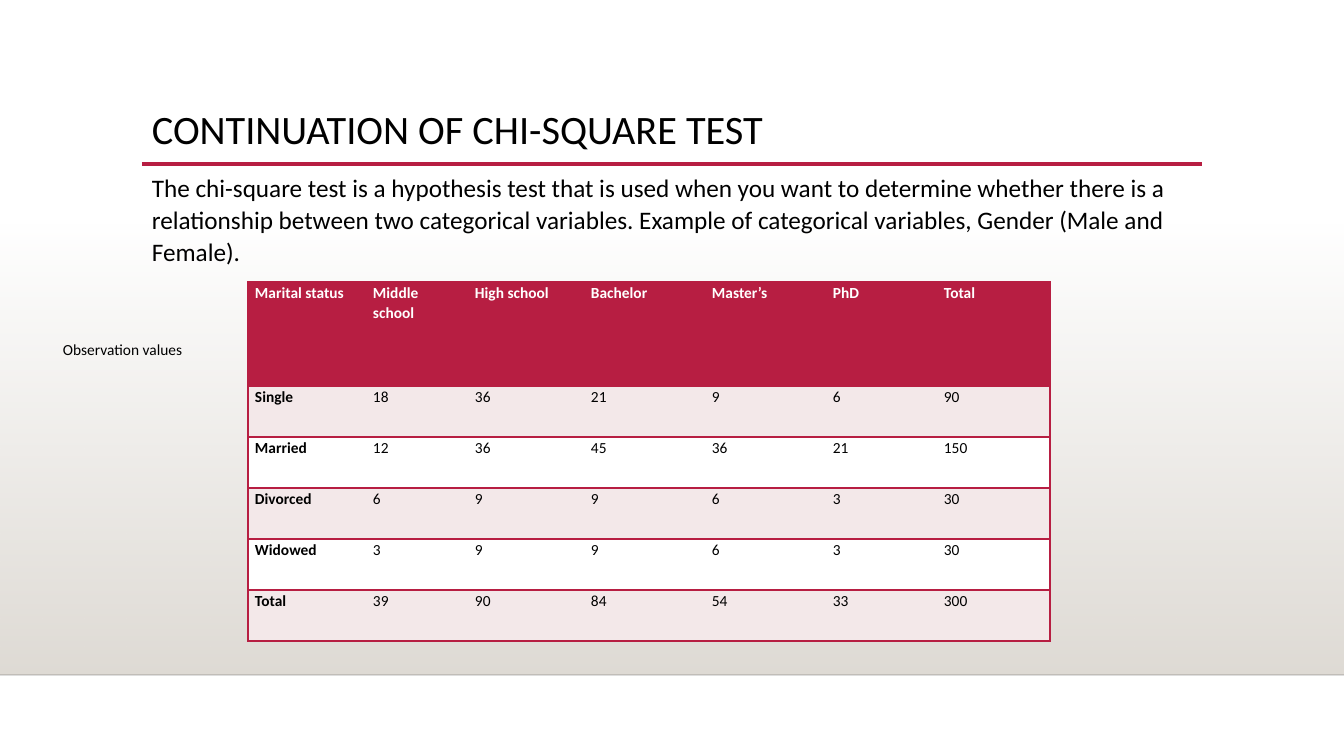
from lxml.etree import SubElement
from pptx import Presentation
from pptx.dml.color import RGBColor
from pptx.enum.shapes import MSO_CONNECTOR as Connector, MSO_SHAPE as Shape
from pptx.enum.text import MSO_ANCHOR as Anchor
from pptx.oxml.ns import qn
from pptx.util import Emu, Pt

CRIMSON, PINK, STONE = "B71E42", "F3E8E9", "DFDBD5"
WHITE, BLACK, HORIZON = "FFFFFF", "000000", "000001"


def px(length):
    return Emu(round(length * 914400 / 100.8))


def rgb(value):
    return RGBColor.from_string(value)


def set_alpha(color_element, percent):
    SubElement(color_element, qn("a:alpha"), val=str(percent * 1000))


class Page:
    font = "Calibri"

    def __init__(self, slide):
        self.shapes = slide.shapes

    def add_words(self, frame, text, size, color, bold=False, spacing=None,
                  after=0):
        frame.word_wrap = True
        paragraph = frame.paragraphs[0]
        paragraph.line_spacing = spacing
        paragraph.space_after = Pt(after)
        run = paragraph.add_run()
        run.text = text
        run.font.name, run.font.size, run.font.bold = self.font, Pt(size), bold
        run.font.color.rgb = rgb(color)

    def text(self, box, text, size, anchor=Anchor.TOP, **style):
        frame = self.shapes.add_textbox(*map(px, box)).text_frame
        frame.vertical_anchor = anchor
        self.add_words(frame, text, size, BLACK, **style)

    def fade(self, box, color):
        """Draw a rectangle that goes from clear at the top to solid."""
        wall = self.shapes.add_shape(Shape.RECTANGLE, *map(px, box))
        wall.shadow.inherit = False
        wall.line.fill.background()
        wall.fill.gradient()
        wall.fill.gradient_angle = 270
        for stop, position in zip(wall.fill.gradient_stops, (0, 1)):
            stop.position = position
            stop.color.rgb = rgb(color)
        first = next(wall.element.iter(qn("a:srgbClr")))
        set_alpha(first, 0)

    def rule(self, left, right, y, color, width, opacity=100):
        line = self.shapes.add_connector(
            Connector.STRAIGHT, px(left), px(y), px(right), px(y))
        line.line.color.rgb = rgb(color)
        line.line.width = Pt(width)
        if opacity < 100:
            set_alpha(next(line.element.iter(qn("a:srgbClr"))), opacity)
        SubElement(line.element.spPr, qn("a:effectLst"))

    def border(self, cell, sides):
        properties = cell._tc.get_or_add_tcPr()
        for side in "LRTB":
            edge = SubElement(properties, qn(f"a:ln{side}"), w=str(Pt(1)))
            if side in sides:
                solid = SubElement(edge, qn("a:solidFill"))
                SubElement(solid, qn("a:srgbClr"), val=CRIMSON)
            else:
                SubElement(edge, qn("a:noFill"))

    def table(self, left, top, widths, heights, rows):
        box = map(px, (left, top, sum(widths), sum(heights)))
        table = self.shapes.add_table(len(rows), len(widths), *box).table
        for column, width in zip(table.columns, widths):
            column.width = px(width)
        for row, height in zip(table.rows, heights):
            row.height = px(height)
        last = len(widths) - 1
        for r, values in enumerate(rows):
            fill = CRIMSON if r == 0 else PINK if r % 2 else WHITE
            for c, value in enumerate(values):
                cell = table.cell(r, c)
                cell.margin_left = cell.margin_right = px(7)
                cell.margin_top = cell.margin_bottom = 0
                self.border(cell, "TB" + "L" * (c == 0) + "R" * (c == last))
                cell.fill.solid()
                cell.fill.fore_color.rgb = rgb(fill)
                self.add_words(cell.text_frame, str(value), 11,
                               BLACK if r else WHITE, bold=r == 0 or c == 0,
                               spacing=1.07, after=8)


def main():
    deck = Presentation()
    deck.slide_width, deck.slide_height = px(1344), px(756)
    page = Page(deck.slides.add_slide(deck.slide_layouts[6]))

    # Background
    page.fade((0, 223, 1344, 452), STONE)
    page.rule(0, 1344, 675, HORIZON, 1, opacity=20)

    # Title and definition
    page.rule(142, 1202, 164, CRIMSON, 2.5)
    page.text((142, 105, 1059, 49), "CONTINUATION OF CHI-SQUARE TEST", 28.8,
              spacing=0.9)
    page.text((142, 165, 1046, 107),
              "The chi-square test is a hypothesis test that is used when you "
              "want to determine whether there is a relationship between two "
              "categorical variables. Example of categorical variables, "
              "Gender (Male and Female).", 18, spacing=1.07, after=8)

    # Observed counts
    observations = [
        ("Marital status", "Middle school", "High school", "Bachelor",
         "Master’s", "PhD", "Total"),
        ("Single", 18, 36, 21, 9, 6, 90),
        ("Married", 12, 36, 45, 36, 21, 150),
        ("Divorced", 6, 9, 9, 6, 3, 30),
        ("Widowed", 3, 9, 9, 6, 3, 30),
        ("Total", 39, 90, 84, 54, 33, 300),
    ]
    page.table(248, 282, (118, 102, 116, 121, 121, 111, 113),
               [104] + [51] * 5, observations)
    page.text((53, 335, 190, 29), "Observation values", 11, Anchor.MIDDLE)

    deck.save("out.pptx")


if __name__ == "__main__":
    main()
